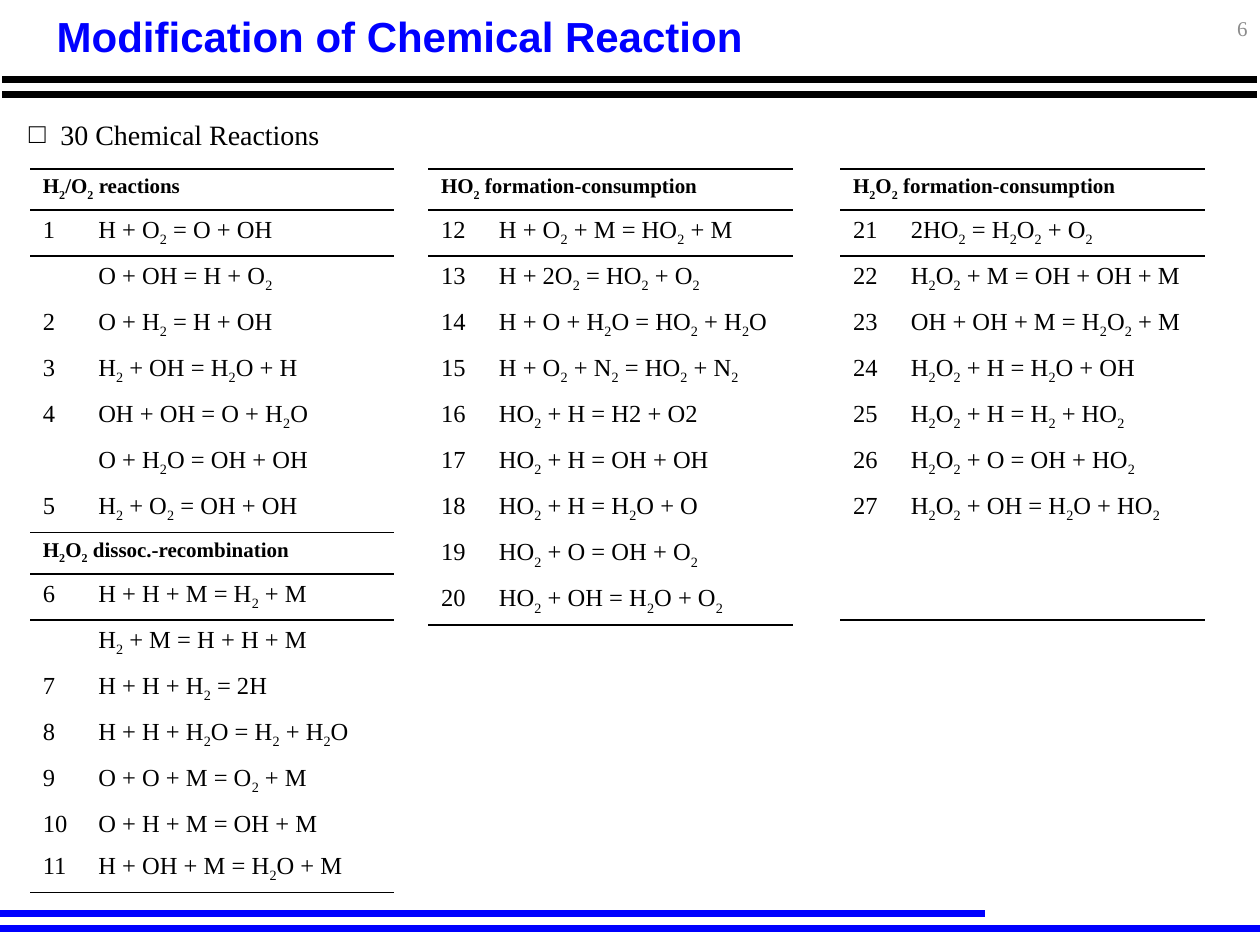
import pptx
import pptx.util
import pptx.dml.color
import pptx.enum.shapes
import pptx.enum.text
import pptx.oxml.ns
from dataclasses import dataclass
from lxml import etree

RGB = pptx.dml.color.RGBColor
Align = pptx.enum.text.PP_ALIGN
Anchor = pptx.enum.text.MSO_ANCHOR
qn = pptx.oxml.ns.qn


@dataclass
class Theme:
    black: RGB = RGB(0, 0, 0)
    blue: RGB = RGB(0, 0, 255)
    gray: RGB = RGB(0x8C, 0x8C, 0x8C)
    sans: str = "Arial"
    serif: str = "Times New Roman"
    title: int = 24
    body: int = 16
    cell: int = 14
    small: int = 12
    rule: int = 4
    edge: int = 1


class Page:
    """Places elements on a grid of 100 columns by 75 rows."""

    def __init__(self, deck, theme):
        self.theme = theme
        self.unit = deck.slide_width / 100
        self.slide = deck.slides.add_slide(deck.slide_layouts[1])

    def size(self, *cells):
        return [pptx.util.Emu(round(c * self.unit)) for c in cells]

    def style(self, para, size, color, face=None, bold=False):
        font = para.font
        font.name = face or self.theme.serif
        font.size = pptx.util.Pt(size)
        font.bold = bold
        font.color.rgb = color

    def place(self, shape, box):
        shape.left, shape.top, shape.width, shape.height = self.size(*box)
        shape.text_frame.auto_size = pptx.enum.text.MSO_AUTO_SIZE.NONE
        return shape.text_frame

    def title(self, text, box):
        frame = self.place(self.slide.shapes.title, box)
        frame.vertical_anchor = Anchor.MIDDLE
        para = frame.paragraphs[0]
        para.text = text
        para.alignment = Align.LEFT
        para.line_spacing = 0.9
        self.style(para, self.theme.title, self.theme.blue, self.theme.sans, True)

    def list(self, text, box):
        frame = self.place(self.slide.placeholders[1], box)
        para = frame.paragraphs[0]
        para.text = text
        para.line_spacing = 0.9
        para.space_before = pptx.util.Pt(10)
        props = para._p.get_or_add_pPr()
        indent = self.size(2.5)[0]
        props.set("marL", str(indent))
        props.set("indent", str(-indent))
        etree.SubElement(props, qn("a:buFont"), typeface=self.theme.serif)
        etree.SubElement(props, qn("a:buChar"), char="□")
        self.style(para, self.theme.body, self.theme.black)

    def number(self, text, box):
        shape = self.slide.shapes.add_textbox(*self.size(*box))
        frame = shape.text_frame
        frame.word_wrap = True
        frame.vertical_anchor = Anchor.MIDDLE
        para = frame.paragraphs[0]
        para.text = text
        para.alignment = Align.RIGHT
        self.style(para, self.theme.small, self.theme.gray)

    def line(self, left, right, y, color):
        rule = self.slide.shapes.add_connector(
            pptx.enum.shapes.MSO_CONNECTOR.STRAIGHT, *self.size(left, y, right, y))
        rule.line.color.rgb = color
        rule.line.width = pptx.util.Pt(self.theme.rule)
        etree.SubElement(rule._element.spPr, qn("a:effectLst"))

    def formula(self, cell, text, head=False):
        """Writes text, lowering each ₂ as a subscript run."""
        para = cell.text_frame.paragraphs[0]
        for i, part in enumerate(text.split("₂")):
            if i:
                low = para.add_run()
                low.text = "2"
                low._r.get_or_add_rPr().set("baseline", "-25000")
            if part:
                para.add_run().text = part
        size = self.theme.small if head else self.theme.cell
        self.style(para, size, self.theme.black, bold=head)
        if not text:
            end = etree.SubElement(para._p, qn("a:endParaRPr"))
            end.set("sz", str(size * 100))

    def border(self, cell, top, bottom):
        props = cell._tc.get_or_add_tcPr()
        sides = [tag for tag, on in (("a:lnT", top), ("a:lnB", bottom)) if on]
        for i, tag in enumerate(sides):
            line = etree.Element(qn(tag), w=str(pptx.util.Pt(self.theme.edge)))
            fill = etree.SubElement(line, qn("a:solidFill"))
            etree.SubElement(fill, qn("a:srgbClr"), val=str(self.theme.black))
            props.insert(i, line)

    def table(self, left, top, widths, rows):
        """A row with None for its number is a heading across both columns."""
        high = 2.9
        frame = self.slide.shapes.add_table(
            len(rows), 2, *self.size(left, top, sum(widths), high * len(rows)))
        table = frame.table
        table.first_row = table.horz_banding = False
        # Plain style without grid
        table._tbl.tblPr.find(qn("a:tableStyleId")).text = (
            "{2D5ABB26-0587-4C30-8999-92F81FD0307C}")
        for col, width in zip(table.columns, self.size(*widths)):
            col.width = width
        heads = [num is None for num, _ in rows]
        for r, (num, text) in enumerate(rows):
            table.rows[r].height = self.size(high if text else 3.46)[0]
            over = heads[r] or heads[r - 1]
            under = r + 1 == len(rows) or heads[r] or heads[r + 1]
            pair = [table.cell(r, c) for c in range(2)]
            for cell, words in zip(pair, (text, "") if heads[r] else (num, text)):
                self.formula(cell, words, heads[r])
                cell.fill.background()
                self.border(cell, over, under)
            if heads[r]:
                pair[0].merge(pair[1])


def count(first, *texts):
    """Numbers the reactions; one that starts with ~ reverses the one before."""
    rows = []
    for text in texts:
        if text.startswith("~"):
            rows.append(("", text[1:]))
        else:
            rows.append((str(first), text))
            first += 1
    return rows


BASIC = [(None, "H₂/O₂ reactions")] + count(
    1, "H + O₂ = O + OH", "~O + OH = H + O₂", "O + H₂ = H + OH",
    "H₂ + OH = H₂O + H", "OH + OH = O + H₂O", "~O + H₂O = OH + OH",
    "H₂ + O₂ = OH + OH")
SPLIT = [(None, "H₂O₂ dissoc.-recombination")] + count(
    6, "H + H + M = H₂ + M", "~H₂ + M = H + H + M", "H + H + H₂ = 2H",
    "H + H + H₂O = H₂ + H₂O", "O + O + M = O₂ + M", "O + H + M = OH + M",
    "H + OH + M = H₂O + M")
RADICAL = [(None, "HO₂ formation-consumption")] + count(
    12, "H + O₂ + M = HO₂ + M", "H + 2O₂ = HO₂ + O₂",
    "H + O + H₂O = HO₂ + H₂O", "H + O₂ + N₂ = HO₂ + N₂",
    "HO₂ + H = H2 + O2", "HO₂ + H = OH + OH", "HO₂ + H = H₂O + O",
    "HO₂ + O = OH + O₂", "HO₂ + OH = H₂O + O₂")
PEROXIDE = [(None, "H₂O₂ formation-consumption")] + count(
    21, "2HO₂ = H₂O₂ + O₂", "H₂O₂ + M = OH + OH + M",
    "OH + OH + M = H₂O₂ + M", "H₂O₂ + H = H₂O + OH",
    "H₂O₂ + H = H₂ + HO₂", "H₂O₂ + O = OH + HO₂",
    "H₂O₂ + OH = H₂O + HO₂") + [("", "")] * 2


def main():
    deck = pptx.Presentation()
    deck.slide_width = pptx.util.Inches(10)
    deck.slide_height = pptx.util.Inches(7.5)
    theme = Theme()
    page = Page(deck, theme)

    # Header and footer rules
    for y in (6.3, 7.5):
        page.line(0.2, 99.8, y, theme.black)
    for right, y in ((78.2, 72.5), (100, 73.7)):
        page.line(0, right, y, theme.blue)

    # Title, list and page number
    page.title("Modification of Chemical Reaction", (3.5, 1, 92.3, 4.1))
    page.list("30 Chemical Reactions", (1.3, 9.1, 97.4, 59.3))
    page.number("6", (95.8, 0.2, 4.2, 4))

    # Reaction tables
    for left, widths, rows in ((2.4, (4.4, 24.5), BASIC + SPLIT),
                               (34, (4.6, 24.3), RADICAL),
                               (66.7, (4.6, 24.3), PEROXIDE)):
        page.table(left, 13.4, widths, rows)

    deck.save("out.pptx")


if __name__ == "__main__":
    main()
